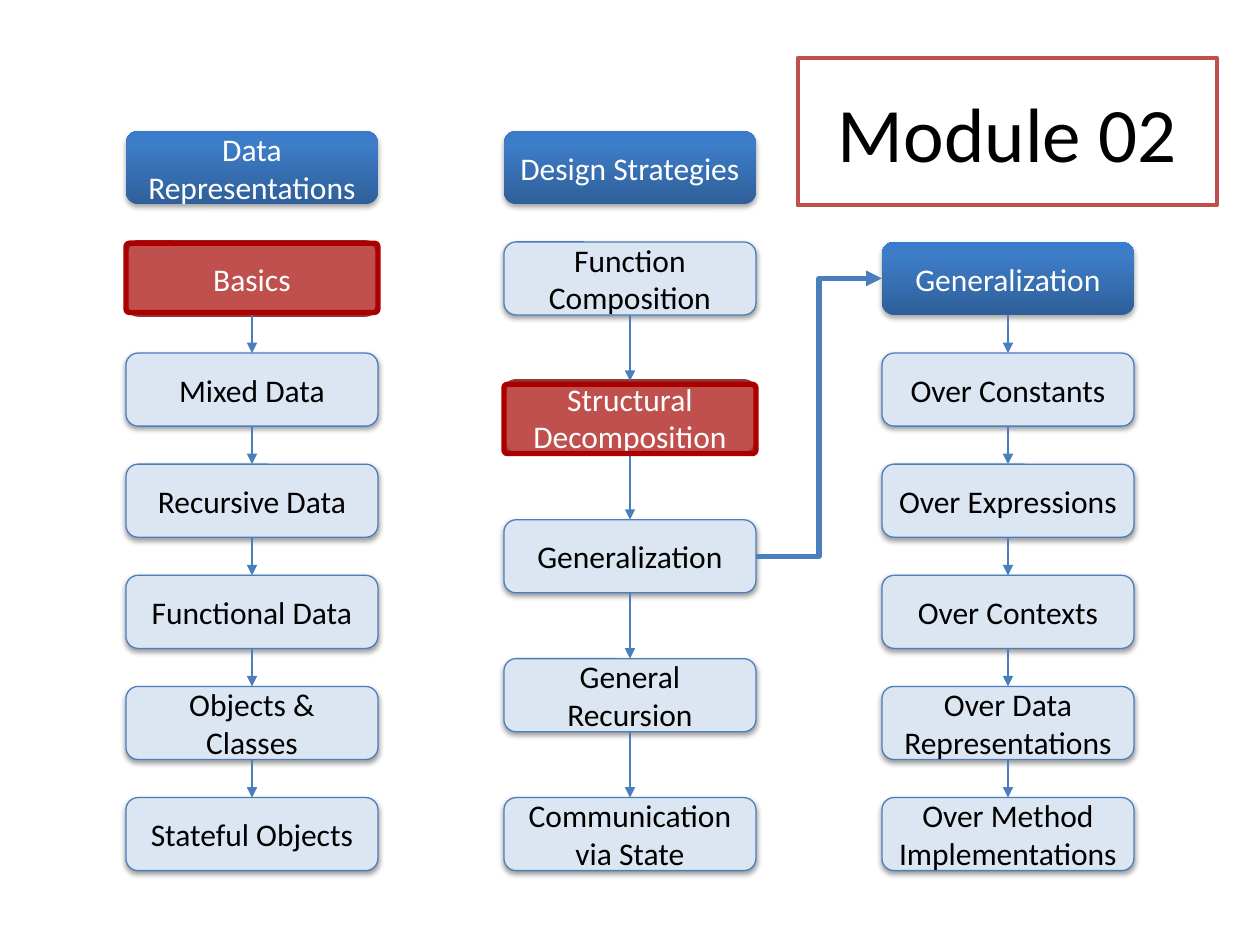
from lxml import etree
from pptx import Presentation
from pptx.dml.color import RGBColor
from pptx.enum.shapes import MSO_CONNECTOR as CONN, MSO_SHAPE as SHAPE
from pptx.enum.text import MSO_ANCHOR as ANCHOR, PP_ALIGN as ALIGN
from pptx.oxml import parse_xml
from pptx.oxml.ns import nsdecls, qn
from pptx.util import Inches, Pt

BLUE, PALE, RED, FRAME = "4B7EBC", "DCE6F2", "C0504D", "AC0000"
BOX_W, BOX_H = 2, 0.58
HEAD_TOP, FIRST_TOP, LAST_TOP = 1.04, 1.92, 6.33
GRADIENT = (
    f'<a:gradFill {nsdecls("a")} rotWithShape="1"><a:gsLst>'
    '<a:gs pos="0"><a:srgbClr val="2F5F99"/></a:gs>'
    '<a:gs pos="80000"><a:srgbClr val="3D7CC7"/></a:gs>'
    '<a:gs pos="100000"><a:srgbClr val="3A7CCB"/></a:gs>'
    '</a:gsLst><a:lin ang="16200000" scaled="0"/></a:gradFill>')

# left, heading above the column, boxes from top to bottom
COLUMNS = [
    (1, "Data Representations",
     ["Basics", "Mixed Data", "Recursive Data", "Functional Data",
      "Objects & Classes", "Stateful Objects"]),
    (4, "Design Strategies",
     ["Function Composition", "Structural Decomposition", "Generalization",
      "General Recursion", "Communication via State"]),
    (7, None,
     ["Generalization", "Over Constants", "Over Expressions", "Over Contexts",
      "Over Data Representations", "Over Method Implementations"]),
]
CURRENT = ("Basics", "Structural Decomposition")


def add_box(left, top, text, kind):
    """Add a labelled box of kind 'head', 'topic' or 'current'."""
    sp = s.shapes.add_shape(SHAPE.ROUNDED_RECTANGLE, Inches(left), Inches(top),
                            Inches(BOX_W), Inches(BOX_H))
    sp.shadow.inherit = False
    if kind == "head":
        sp.line.fill.background()
        sp._element.spPr.find(qn("a:prstGeom")).addnext(parse_xml(GRADIENT))
    else:
        fill, line, width = (PALE, BLUE, 0.75) if kind == "topic" else (RED, "8E3B39", 2)
        sp.fill.solid()
        sp.fill.fore_color.rgb = RGBColor.from_string(fill)
        sp.line.color.rgb = RGBColor.from_string(line)
        sp.line.width = Pt(width)
    if kind != "current":
        alpha, dist = (35, 1.8) if kind == "head" else (38, 1.6)
        sp._element.spPr.find(qn("a:effectLst")).append(parse_xml(
            f'<a:outerShdw {nsdecls("a")} blurRad="{Pt(3.1)}" dist="{Pt(dist)}" '
            'dir="5400000" rotWithShape="0"><a:srgbClr val="000000">'
            f'<a:alpha val="{alpha * 1000}"/></a:srgbClr></a:outerShdw>'))
    tf = sp.text_frame
    tf.word_wrap = True
    tf.vertical_anchor = ANCHOR.MIDDLE
    p = tf.paragraphs[0]
    p.alignment = ALIGN.CENTER
    r = p.add_run()
    r.text = text
    r.font.size, r.font.name = Pt(18), "Calibri"
    r.font.color.rgb = RGBColor.from_string("000000" if kind == "topic" else "FFFFFF")
    return sp


def add_arrow(start, start_site, end, end_site, kind, width):
    """Join two boxes with an arrow glued to their connection sites."""
    cx = s.shapes.add_connector(kind, 0, 0, 0, 0)
    cx.begin_connect(start, start_site)
    cx.end_connect(end, end_site)
    cx.line.color.rgb = RGBColor.from_string(BLUE)
    cx.line.width = Pt(width)
    etree.SubElement(cx.line._get_or_add_ln(), qn("a:tailEnd"), type="triangle")
    etree.SubElement(cx._element.spPr, qn("a:effectLst"))


prs = Presentation()
prs.slide_width, prs.slide_height = Inches(10), Inches(7.5)
s = prs.slides.add_slide(prs.slide_layouts[5])

title = s.shapes.title
title.left, title.top = Inches(6.33), Inches(0.46)
title.width, title.height = Inches(3.33), Inches(1.17)
title._element.spPr.append(parse_xml(
    f'<a:prstGeom {nsdecls("a")} prst="roundRect"><a:avLst/></a:prstGeom>'))
title.line.color.rgb = RGBColor.from_string(RED)
title.line.width = Pt(2.25)
title.text_frame.vertical_anchor = ANCHOR.MIDDLE
p = title.text_frame.paragraphs[0]
p.alignment = ALIGN.CENTER
r = p.add_run()
r.text = "Module 02"
r.font.size, r.font.name = Pt(44), "Calibri"
r.font.color.rgb = RGBColor.from_string("000000")

columns = []
for left, heading, topics in COLUMNS:
    if heading:
        add_box(left, HEAD_TOP, heading, "head")
    pitch = (LAST_TOP - FIRST_TOP) / (len(topics) - 1)
    boxes = []
    for i, topic in enumerate(topics):
        kind = "current" if topic in CURRENT else "topic"
        if not heading and i == 0:
            kind = "head"
        boxes.append(add_box(left, FIRST_TOP + i * pitch, topic, kind))
    for upper, lower in zip(boxes, boxes[1:]):
        add_arrow(upper, 2, lower, 0, CONN.STRAIGHT, 0.75)
    columns.append(boxes)

add_arrow(columns[1][2], 3, columns[2][0], 1, CONN.ELBOW, 3)

for left, top in [(4, 3.05), (1, 1.93)]:
    frame = s.shapes.add_shape(SHAPE.ROUNDED_RECTANGLE, Inches(left), Inches(top),
                               Inches(BOX_W), Inches(0.55))
    frame.adjustments[0] = 0.05
    frame.shadow.inherit = False
    frame.fill.background()
    frame.line.color.rgb = RGBColor.from_string(FRAME)
    frame.line.width = Pt(3)

prs.save("out.pptx")
